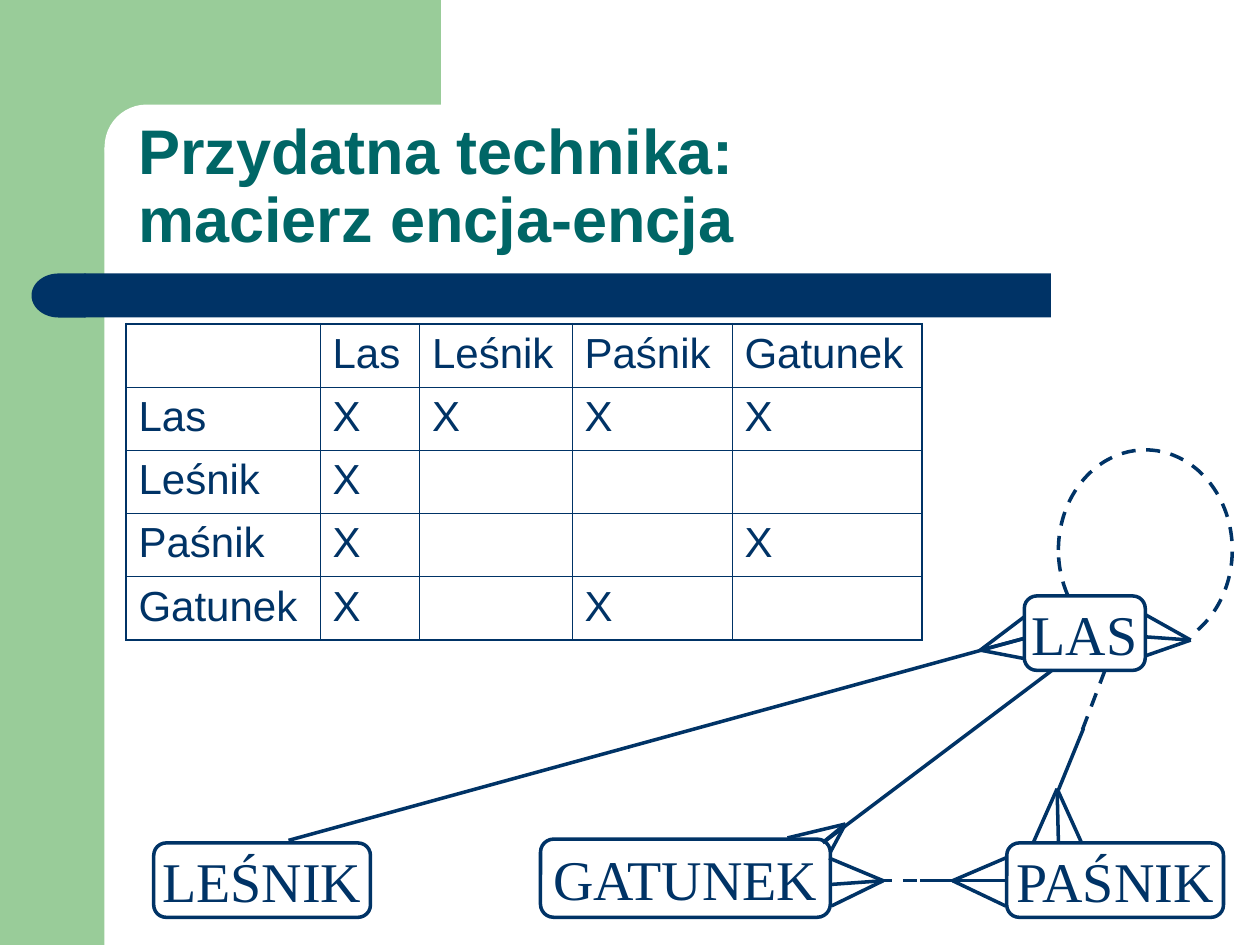
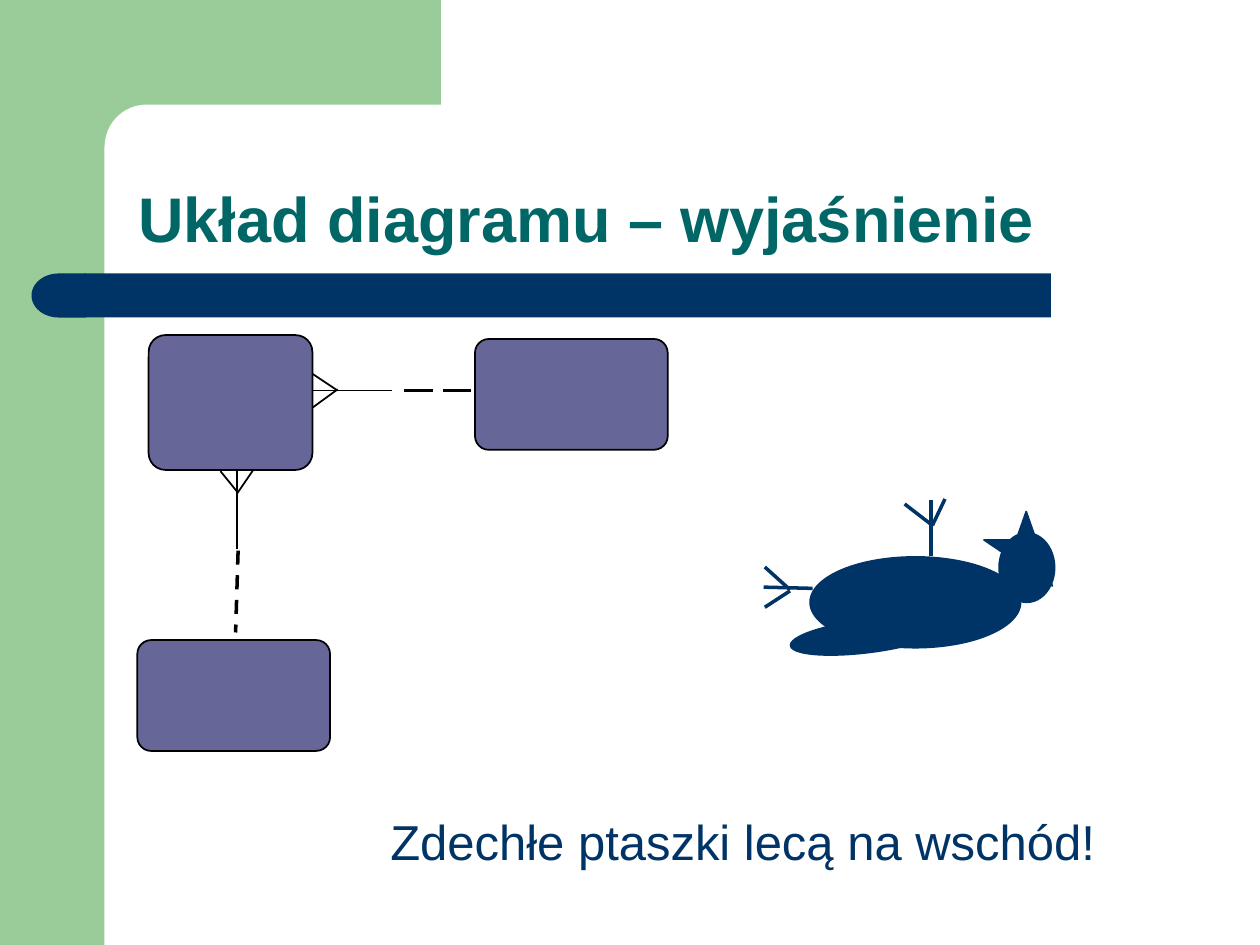
"""Build two slides on the entity-entity matrix and the layout of entity diagrams."""
from dataclasses import dataclass

from lxml.etree import SubElement
from pptx import Presentation
from pptx.dml.color import RGBColor as Rgb
from pptx.enum.dml import MSO_LINE as Dash
from pptx.enum.shapes import MSO_CONNECTOR as Connector, MSO_SHAPE as Form
from pptx.enum.text import MSO_ANCHOR as Anchor, PP_ALIGN as Align
from pptx.oxml.ns import qn
from pptx.util import Inches, Pt


@dataclass(frozen=True)
class Theme:
    navy: str = "003366"
    green: str = "99CC99"
    teal: str = "006666"
    violet: str = "666699"
    white: str = "FFFFFF"
    black: str = "000000"
    sans: str = "Arial"
    serif: str = "Times New Roman"
    title: int = 36
    entity: int = 32
    body: int = 28
    cell: int = 24
    thick: float = 2
    thin: float = 1
    outer_border: float = 1.08
    inner_border: float = 0.45


THEME = Theme()

BACKDROP = [
    (Form.RECTANGLE, (0, 0, 0.83, 7.5), THEME.green),
    (Form.RECTANGLE, (0.75, 0, 2.75, 1.17), THEME.green),
    (Form.ROUNDED_RECTANGLE, (0.83, 0.83, 5.58, 0.67), THEME.white),
    (Form.RECTANGLE, (0.67, 2.17, 7.67, 0.35), THEME.navy),
    (Form.FLOWCHART_DELAY, (0.25, 2.17, 0.43, 0.35), THEME.navy),
]
TITLE_AREA = (1, 0.83, 8.75, 1.25)

MATRIX_TITLE = ["Przydatna technika:", "macierz encja-encja"]
MATRIX = [
    ["", "Las", "Leśnik", "Paśnik", "Gatunek"],
    ["Las", "X", "X", "X", "X"],
    ["Leśnik", "X", "", "", ""],
    ["Paśnik", "X", "", "", "X"],
    ["Gatunek", "X", "", "X", ""],
]
MATRIX_AREA = (1, 2.57, 6.32, 2.51)
MATRIX_COLUMNS = [1.54, 0.79, 1.21, 1.27, 1.51]

SELF_LOOP = (8.4, 3.57, 1.38, 1.59)
LOOP_GAP = (9.04, 4.7, 0.42, 0.66)
ENTITIES = [
    ("LEŚNIK", (1.22, 6.69, 1.72, 0.59), None),
    ("PAŚNIK", (7.99, 6.69, 1.72, 0.59), None),
    ("GATUNEK", (4.29, 6.66, 2.3, 0.62), THEME.white),
    ("LAS", (8.13, 4.73, 0.96, 0.59), THEME.white),
]
FEET_BEHIND = [
    ((6.71, 6.54), [(6.38, 6.81), (6.25, 6.65), (6.49, 6.95)]),
    ((7.78, 5.16), [(8.19, 5.05), (8.25, 5.25), (8.15, 4.88)]),
    ((9.45, 5.08), [(9.03, 5.05), (9.04, 4.85), (9.02, 5.23)]),
]
FEET_IN_FRONT = [
    ((8.39, 6.26), [(8.4, 6.68), (8.2, 6.69), (8.58, 6.68)]),
    ((7.56, 6.99), [(7.98, 6.99), (7.98, 7.19), (7.98, 6.81)]),
    ((7.01, 6.99), [(6.59, 7.02), (6.58, 6.81), (6.6, 7.19)]),
]
FOREST_LINK = ((2.29, 6.67), (8.19, 5.05))
LINKS = [
    ((8.35, 5.32), (6.53, 6.69), None),
    ((8.77, 5.32), (8.58, 5.82), Dash.DASH),
    ((8.6, 5.78), (8.4, 6.27), None),
    ((7.3, 6.99), (7.68, 6.99), None),
    ((6.97, 6.99), (7.34, 6.99), Dash.DASH),
]

LAYOUT_TITLE = ["Układ diagramu – wyjaśnienie"]
MOTTO = "Zdechłe ptaszki lecą na wschód!"
MOTTO_AREA = (3, 6.39, 5.83, 0.57)
BIRD_LEGS = [
    ((7.39, 3.97), (7.39, 4.41)),
    ((7.4, 4.17), (7.5, 3.96)),
    ((7.4, 4.17), (7.18, 4)),
    ((6.06, 4.66), (6.45, 4.67)),
    ((6.27, 4.68), (6.07, 4.5)),
    ((6.27, 4.69), (6.07, 4.82)),
]
BIRD_BODY = (6.43, 4.42, 1.67, 0.72)
BIRD_BEAK = (7.81, 4.06, 0.67, 0.59)
BEAK_TRIM = (8.24, 4.1, 0.54, 0.37)
BIRD_HEAD = (7.93, 4.23, 0.44, 0.55)
BIRD_EYE = (8.2, 4.46, 0.01, 0.07)
BIRD_WING = (6.27, 4.92, 1.22, 0.26)
SAMPLE_BOXES = [
    (1.09, 5.08, 1.53, 0.88),
    (1.18, 2.66, 1.3, 1.07),
    (3.77, 2.69, 1.53, 0.88),
]
SAMPLE_LINKS = [
    ((1.89, 4.37), (1.87, 5.02), THEME.thick, Dash.DASH),
    ((1.88, 4.36), (1.88, 3.74), THEME.thin, None),
    ((1.75, 3.74), (1.88, 3.9), THEME.thin, None),
    ((1.88, 3.92), (2.01, 3.73), THEME.thin, None),
    ((3.21, 3.1), (3.85, 3.1), THEME.thick, Dash.LONG_DASH),
    ((3.11, 3.1), (2.48, 3.1), THEME.thin, None),
    ((2.46, 3.25), (2.68, 3.09), THEME.thin, None),
    ((2.68, 3.1), (2.41, 2.92), THEME.thin, None),
]


def inches(values):
    return [Inches(value) for value in values]


def set_font(paragraph, name, size, color, bold=False):
    font = paragraph.font
    font.name, font.size, font.bold = name, Pt(size), bold
    font.color.rgb = Rgb.from_string(color)


def set_stroke(line, color, width, dash=None):
    line.color.rgb = Rgb.from_string(color)
    line.width = Pt(width)
    if dash:
        line.dash_style = dash


def add_form(page, form, area, fill=None, stroke=None, width=THEME.thin, dash=None):
    shape = page.shapes.add_shape(form, *inches(area))
    shape.shadow.inherit = False
    if fill:
        shape.fill.solid()
        shape.fill.fore_color.rgb = Rgb.from_string(fill)
    else:
        shape.fill.background()
    if stroke:
        set_stroke(shape.line, stroke, width, dash)
    else:
        shape.line.fill.background()
    return shape


def add_line(page, start, end, color=THEME.navy, width=THEME.thick, dash=None):
    line = page.shapes.add_connector(Connector.STRAIGHT, *inches(start + end))
    set_stroke(line.line, color, width, dash)
    SubElement(line._element.spPr, qn("a:effectLst"))


def add_feet(page, feet):
    for tip, toes in feet:
        for toe in toes:
            add_line(page, toe, tip)


def add_text(page, area, lines, size, color, bold=False):
    frame = page.shapes.add_textbox(*inches(area)).text_frame
    frame.word_wrap = True
    para = frame.paragraphs[0]
    for index, line in enumerate(lines):
        if index:
            para.add_line_break()
        para.add_run().text = line
    set_font(para, THEME.sans, size, color, bold)
    return frame


def add_page(deck, title):
    page = deck.slides.add_slide(deck.slide_layouts[6])
    for form, area, fill in BACKDROP:
        shape = add_form(page, form, area, fill)
        if form == Form.ROUNDED_RECTANGLE:
            shape.adjustments[0] = 0.5
        elif form == Form.FLOWCHART_DELAY:
            shape.rotation = 180
    frame = add_text(page, TITLE_AREA, title, THEME.title, THEME.teal, bold=True)
    frame.vertical_anchor = Anchor.BOTTOM
    frame.paragraphs[0].line_spacing = 0.9
    return page


def set_borders(cell, outer_sides):
    properties = cell._tc.get_or_add_tcPr()
    for side, is_outer in outer_sides.items():
        width = THEME.outer_border if is_outer else THEME.inner_border
        border = SubElement(properties, qn(f"a:ln{side}"), w=str(Pt(width)))
        fill = SubElement(border, qn("a:solidFill"))
        SubElement(fill, qn("a:srgbClr"), val=THEME.navy)


def add_matrix(page):
    size = len(MATRIX)
    table = page.shapes.add_table(size, size, *inches(MATRIX_AREA)).table
    table.first_row = table.horz_banding = False
    for column, width in zip(table.columns, MATRIX_COLUMNS):
        column.width = Inches(width)
    for row, labels in enumerate(MATRIX):
        for column, label in enumerate(labels):
            cell = table.cell(row, column)
            set_borders(cell, {"L": column == 0, "R": column == size - 1,
                               "T": row == 0, "B": row == size - 1})
            cell.fill.background()
            para = cell.text_frame.paragraphs[0]
            para.text = label
            para.space_before = Pt(6)
            set_font(para, THEME.sans, THEME.cell, THEME.navy)


def add_entity(page, name, area, fill):
    box = add_form(page, Form.ROUNDED_RECTANGLE, area, fill, THEME.navy, THEME.thick)
    frame = box.text_frame
    frame.word_wrap = False
    frame.vertical_anchor = Anchor.MIDDLE
    para = frame.paragraphs[0]
    para.text = name
    para.alignment = Align.CENTER
    set_font(para, THEME.serif, THEME.entity, THEME.navy)


def build_matrix_page(deck):
    page = add_page(deck, MATRIX_TITLE)
    add_matrix(page)
    add_form(page, Form.OVAL, SELF_LOOP, None, THEME.navy, THEME.thick, Dash.DASH)
    add_form(page, Form.RECTANGLE, LOOP_GAP, THEME.white)
    add_line(page, *FOREST_LINK)
    add_feet(page, FEET_BEHIND)
    for name, area, fill in ENTITIES:
        add_entity(page, name, area, fill)
    for start, end, dash in LINKS:
        add_line(page, start, end, dash=dash)
    add_feet(page, FEET_IN_FRONT)


def add_bird(page):
    add_form(page, Form.OVAL, BIRD_BODY, THEME.navy, THEME.navy)
    for start, end in BIRD_LEGS:
        add_line(page, start, end)
    add_form(page, Form.STAR_5_POINT, BIRD_BEAK, THEME.navy, THEME.navy)
    add_form(page, Form.RECTANGLE, BEAK_TRIM, THEME.white)
    for part in (BIRD_HEAD, BIRD_EYE):
        add_form(page, Form.OVAL, part, THEME.navy, THEME.navy)
    wing = add_form(page, Form.OVAL, BIRD_WING, THEME.navy, THEME.navy)
    wing.rotation = 353


def build_layout_page(deck):
    page = add_page(deck, LAYOUT_TITLE)
    motto = add_text(page, MOTTO_AREA, [MOTTO], THEME.body, THEME.navy)
    motto.paragraphs[0].space_before = Pt(7)
    add_bird(page)
    for start, end, width, dash in SAMPLE_LINKS:
        add_line(page, start, end, THEME.black, width, dash)
    for area in SAMPLE_BOXES:
        box = add_form(page, Form.ROUNDED_RECTANGLE, area, THEME.violet, THEME.black)
        box.adjustments[0] = 0.125


def main():
    deck = Presentation()
    deck.slide_width, deck.slide_height = Inches(10), Inches(7.5)
    build_matrix_page(deck)
    build_layout_page(deck)
    deck.save("out.pptx")


if __name__ == "__main__":
    main()
